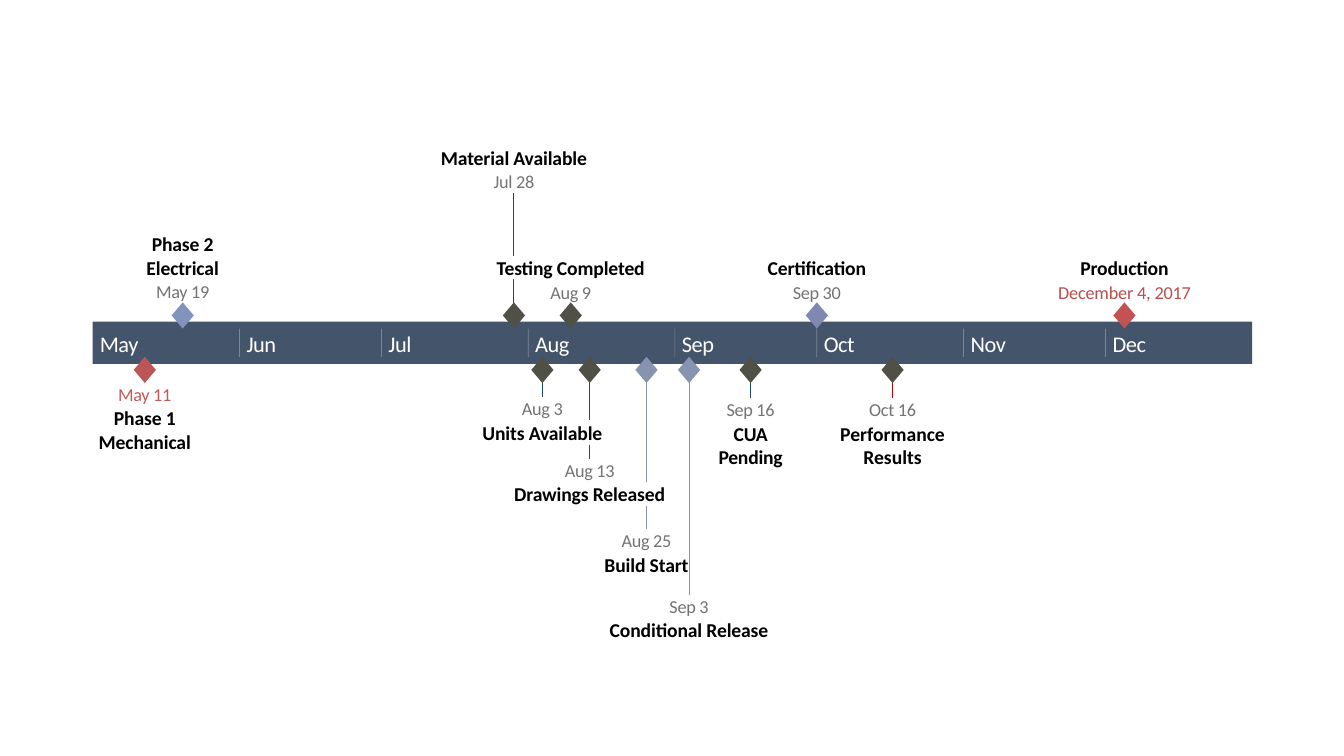
from itertools import accumulate

from lxml import etree
from pptx import Presentation
from pptx.dml.color import RGBColor
from pptx.enum.shapes import MSO_CONNECTOR, MSO_SHAPE
from pptx.enum.text import MSO_ANCHOR, PP_ALIGN
from pptx.oxml.ns import qn
from pptx.util import Inches, Pt

WHITE = RGBColor(0xFF, 0xFF, 0xFF)
BLACK = RGBColor(0x00, 0x00, 0x00)
GREY = RGBColor(0x73, 0x73, 0x73)
SLATE = RGBColor(0x44, 0x54, 0x6A)
OLIVE = RGBColor(0x50, 0x50, 0x46)
NAVY = RGBColor(0x1F, 0x49, 0x7E)
STEEL = RGBColor(0x86, 0x94, 0xB0)
PERIWINKLE = RGBColor(0x82, 0x93, 0xBE)
LAVENDER = RGBColor(0x7E, 0x88, 0xB1)
CRIMSON = RGBColor(0xB9, 0x05, 0x05)
BRICK = RGBColor(0xBA, 0x56, 0x56)
BRICK_TEXT = RGBColor(0xC1, 0x5B, 0x5A)
ROSE = RGBColor(0xC3, 0x53, 0x53)
ROSE_TEXT = RGBColor(0xBA, 0x4D, 0x4D)

MONTHS = {"May": 31, "Jun": 30, "Jul": 31, "Aug": 31,
          "Sep": 30, "Oct": 31, "Nov": 30, "Dec": 31}

# title, title width, title lines, month, day, date label, date width, date top, diamond colour
ABOVE = [
    ("Material Available", 1.47, 1, "Jul", 28, "Jul 28", 0.43, 1.69, OLIVE),
    ("Phase 2 Electrical", 0.74, 2, "May", 19, "May 19", 0.56, 2.78, PERIWINKLE),
    ("Testing Completed", 1.5, 1, "Aug", 9, "Aug 9", 0.43, 2.79, OLIVE),
    ("Certification", 1.0, 1, "Sep", 30, "Sep 30", 0.5, 2.79, LAVENDER),
    ("Production", 0.89, 1, "Dec", 4, "December 4, 2017", 1.35, 2.79, ROSE),
]
BELOW = [
    ("Phase 1 Mechanical", 0.93, 2, "May", 11, "May 11", 0.56, 3.8, BRICK),
    ("Units Available", 1.21, 1, "Aug", 3, "Aug 3", 0.43, 3.94, OLIVE),
    ("Drawings Released", 1.53, 1, "Aug", 13, "Aug 13", 0.51, 4.55, OLIVE),
    ("Build Start", 0.85, 1, "Aug", 25, "Aug 25", 0.51, 5.25, STEEL),
    ("Conditional Release", 1.6, 1, "Sep", 3, "Sep 3", 0.4, 5.9, STEEL),
    ("CUA Pending", 0.65, 2, "Sep", 16, "Sep 16", 0.5, 3.95, OLIVE),
    ("Performance Results", 1.08, 2, "Oct", 16, "Oct 16", 0.49, 3.95, OLIVE),
]
DATE_COLORS = {"May 11": BRICK_TEXT, "December 4, 2017": ROSE_TEXT}
TITLE_SPACING = {"CUA Pending": -20, "Performance Results": 0}
DATE_SPACING = {"December 4, 2017": -10}

# month, day, colour, vertical pieces that leave room for other titles
STEMS = [
    ("Oct", 16, CRIMSON, [(3.67, 3.95)]),
    ("Sep", 16, NAVY, [(3.67, 3.95)]),
    ("Sep", 3, STEEL, [(3.67, 5.9)]),
    ("Aug", 25, STEEL, [(5.02, 5.25), (3.67, 4.78)]),
    ("Aug", 13, NAVY, [(4.41, 4.55), (3.67, 4.17)]),
    ("Aug", 3, NAVY, [(3.67, 3.94)]),
    ("Jul", 28, NAVY, [(2.77, 3.13), (1.91, 2.54)]),
]

BAR_LEFT, BAR_TOP, BAR_WIDTH, BAR_HEIGHT = 0.92, 3.19, 11.5, 0.42
DIAMOND_WIDTH, DIAMOND_HEIGHT = 0.22, 0.26
DATE_HEIGHT = 0.22
TITLE_HEIGHTS = {1: 0.24, 2: 0.47}
DAY_WIDTH = BAR_WIDTH / sum(MONTHS.values())
MONTH_STARTS = dict(zip(MONTHS, accumulate(MONTHS.values(), initial=0)))


def day_x(month, day=0):
    """Return the horizontal place of a date on the bar, in inches."""
    return BAR_LEFT + (MONTH_STARTS[month] + day) * DAY_WIDTH


def add_solid(page, kind, left, top, width, height, color):
    """Add a filled shape without outline or shadow."""
    shape = page.shapes.add_shape(kind, *map(Inches, (left, top, width, height)))
    shape.shadow.inherit = False
    shape.fill.solid()
    shape.fill.fore_color.rgb = color
    shape.line.fill.background()


def add_upright(page, x, top, bottom, color, weight, alpha=None):
    """Add a vertical line, optionally with an opacity in percent."""
    line = page.shapes.add_connector(
        MSO_CONNECTOR.STRAIGHT, *map(Inches, (x, top, x, bottom)))
    line.line.color.rgb = color
    line.line.width = Pt(weight)
    properties = line._element.spPr
    if alpha is not None:
        paint = next(properties.iter(qn("a:srgbClr")))
        etree.SubElement(paint, qn("a:alpha")).set("val", str(alpha * 1000))
    etree.SubElement(properties, qn("a:effectLst"))


def add_label(page, text, left, top, width, height, style, spacing,
              align=PP_ALIGN.CENTER, wrap=False):
    """Add a text box without margins, its letters spaced in 1/100 point."""
    box = page.shapes.add_textbox(*map(Inches, (left, top, width, height)))
    frame = box.text_frame
    layout = {"margin_left": 0, "margin_right": 0, "margin_top": 0,
              "margin_bottom": 0, "word_wrap": wrap,
              "vertical_anchor": MSO_ANCHOR.MIDDLE}
    for name, value in layout.items():
        setattr(frame, name, value)
    para = frame.paragraphs[0]
    para.alignment = align
    span = para.add_run()
    span.text = text
    color, size, bold = style
    for name, value in {"name": "Calibri", "size": Pt(size), "bold": bold}.items():
        setattr(span.font, name, value)
    span.font.color.rgb = color
    span._r.get_or_add_rPr().set("spc", str(spacing))


def add_bar(page):
    """Add the bar with its month names and dividers."""
    add_solid(page, MSO_SHAPE.RECTANGLE, BAR_LEFT, BAR_TOP, BAR_WIDTH, BAR_HEIGHT, SLATE)
    for month, start in MONTH_STARTS.items():
        x = day_x(month)
        if start:
            add_upright(page, x, 3.26, 3.54, WHITE, 0.5, alpha=30)
        add_label(page, month, x + 0.07, 3.27, 0.4, 0.27,
                  (WHITE, 16, False), -30, PP_ALIGN.LEFT)


def add_milestone(page, milestone, above):
    """Add a title, a date and a diamond centred on the milestone's day."""
    title, title_width, lines, month, day, date, date_width, date_top, color = milestone
    x = day_x(month, day)
    height = TITLE_HEIGHTS[lines]
    title_top = date_top - height - 0.01 if above else date_top + 0.23
    add_label(page, title, x - title_width / 2, title_top, title_width, height,
              (BLACK, 14, True), TITLE_SPACING.get(title, -10), wrap=lines > 1)
    add_label(page, date, x - date_width / 2, date_top, date_width, DATE_HEIGHT,
              (DATE_COLORS.get(date, GREY), 13, False), DATE_SPACING.get(date, -20))
    add_solid(page, MSO_SHAPE.DIAMOND, x - DIAMOND_WIDTH / 2, 3 if above else 3.54,
              DIAMOND_WIDTH, DIAMOND_HEIGHT, color)


deck = Presentation()
deck.slide_width, deck.slide_height = Inches(13.33), Inches(7.5)
page = deck.slides.add_slide(deck.slide_layouts[6])

for month, day, color, pieces in STEMS:
    for top, bottom in pieces:
        add_upright(page, day_x(month, day), top, bottom, color, 0.75)
add_bar(page)
for milestones, above in ((ABOVE, True), (BELOW, False)):
    for milestone in milestones:
        add_milestone(page, milestone, above)

deck.save("out.pptx")
